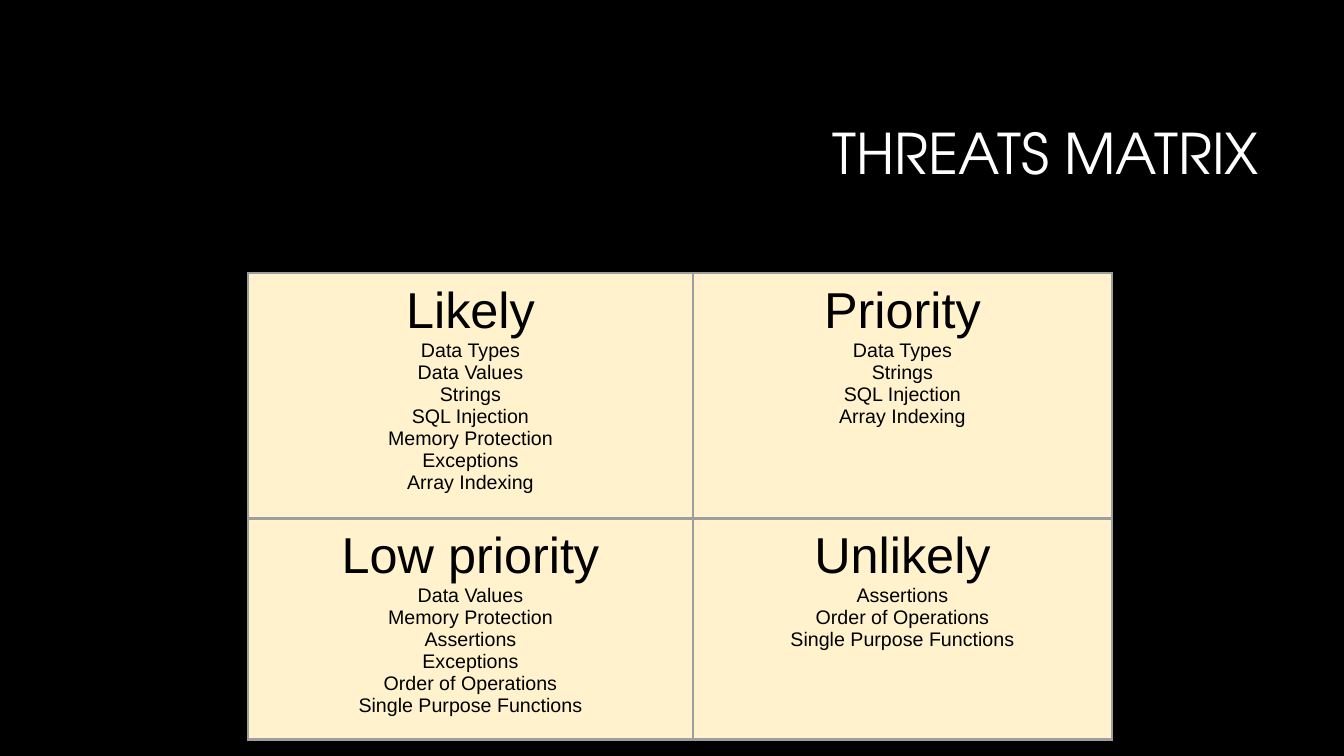
from dataclasses import dataclass

from lxml.etree import SubElement
from pptx import Presentation
from pptx.dml.color import RGBColor
from pptx.enum.text import MSO_ANCHOR, PP_ALIGN
from pptx.oxml.ns import qn
from pptx.util import Pt

# Content
TITLE = "THREATS MATRIX"
MATRIX = [
    [
        ("Likely", ["Data Types", "Data Values", "Strings", "SQL Injection",
                    "Memory Protection", "Exceptions", "Array Indexing"]),
        ("Priority", ["Data Types", "Strings", "SQL Injection", "Array Indexing"]),
    ],
    [
        ("Low priority", ["Data Values", "Memory Protection", "Assertions", "Exceptions",
                          "Order of Operations", "Single Purpose Functions"]),
        ("Unlikely", ["Assertions", "Order of Operations", "Single Purpose Functions"]),
    ],
]

# Layout in px
SLIDE_W, SLIDE_H = 1344, 756
TITLE_BOX = (320, 85, 949, 142)
TABLE_LEFT, TABLE_TOP = 248, 273
COL_WIDTHS = (445, 419)
ROW_HEIGHT = 195
CELL_MARGIN = 10
TITLE_MARGINS = (10, 5, 10, 5)


@dataclass(frozen=True)
class Theme:
    background: str = "000000"
    title: str = "FFFFFF"
    text: str = "000000"
    cell: str = "FFF2CC"
    border: str = "9E9E9E"
    title_font: str = "TeX Gyre Adventor"
    body_font: str = "Arial"
    title_size: int = 40
    heading_size: int = 36
    item_size: int = 14
    border_width: float = 2.25


THEME = Theme()


def px(n):
    return round(n * 914400 / 100.8)


def rgb(value):
    return RGBColor.from_string(value)


def write(p, text, *, size, font=THEME.body_font, color=THEME.text,
          align=PP_ALIGN.CENTER, spacing=None):
    p.alignment = align
    p.line_spacing = spacing
    r = p.add_run()
    r.text = text
    r.font.name = font
    r.font.size = Pt(size)
    r.font.color.rgb = rgb(color)


def set_margins(box, left, top, right, bottom):
    box.margin_left, box.margin_top = px(left), px(top)
    box.margin_right, box.margin_bottom = px(right), px(bottom)


def set_borders(cell):
    tc_pr = cell._tc.get_or_add_tcPr()
    for i, side in enumerate(("lnL", "lnR", "lnT", "lnB")):
        ln = tc_pr.makeelement(qn(f"a:{side}"), {"w": str(Pt(THEME.border_width))})
        fill = SubElement(ln, qn("a:solidFill"))
        SubElement(fill, qn("a:srgbClr"), val=THEME.border)
        tc_pr.insert(i, ln)


def add_title(s):
    tf = s.shapes.add_textbox(*map(px, TITLE_BOX)).text_frame
    tf.word_wrap = True
    tf.vertical_anchor = MSO_ANCHOR.MIDDLE
    set_margins(tf, *TITLE_MARGINS)
    write(tf.paragraphs[0], TITLE, size=THEME.title_size, font=THEME.title_font,
          color=THEME.title, align=PP_ALIGN.RIGHT, spacing=0.9)


def fill_cell(cell, heading, items):
    cell.fill.solid()
    cell.fill.fore_color.rgb = rgb(THEME.cell)
    set_borders(cell)
    set_margins(cell, *[CELL_MARGIN] * 4)
    tf = cell.text_frame
    write(tf.paragraphs[0], heading, size=THEME.heading_size)
    for item in items:
        write(tf.add_paragraph(), item, size=THEME.item_size)


def add_matrix(s):
    table = s.shapes.add_table(
        len(MATRIX), len(COL_WIDTHS), px(TABLE_LEFT), px(TABLE_TOP),
        px(sum(COL_WIDTHS)), px(ROW_HEIGHT * len(MATRIX))).table
    table.first_row = table.horz_banding = False
    for col, width in zip(table.columns, COL_WIDTHS):
        col.width = px(width)
    for i, row in enumerate(MATRIX):
        for j, (heading, items) in enumerate(row):
            fill_cell(table.cell(i, j), heading, items)


def main():
    prs = Presentation()
    prs.slide_width, prs.slide_height = px(SLIDE_W), px(SLIDE_H)
    s = prs.slides.add_slide(prs.slide_layouts[6])
    s.background.fill.solid()
    s.background.fill.fore_color.rgb = rgb(THEME.background)
    add_title(s)
    add_matrix(s)
    prs.save("out.pptx")


if __name__ == "__main__":
    main()
